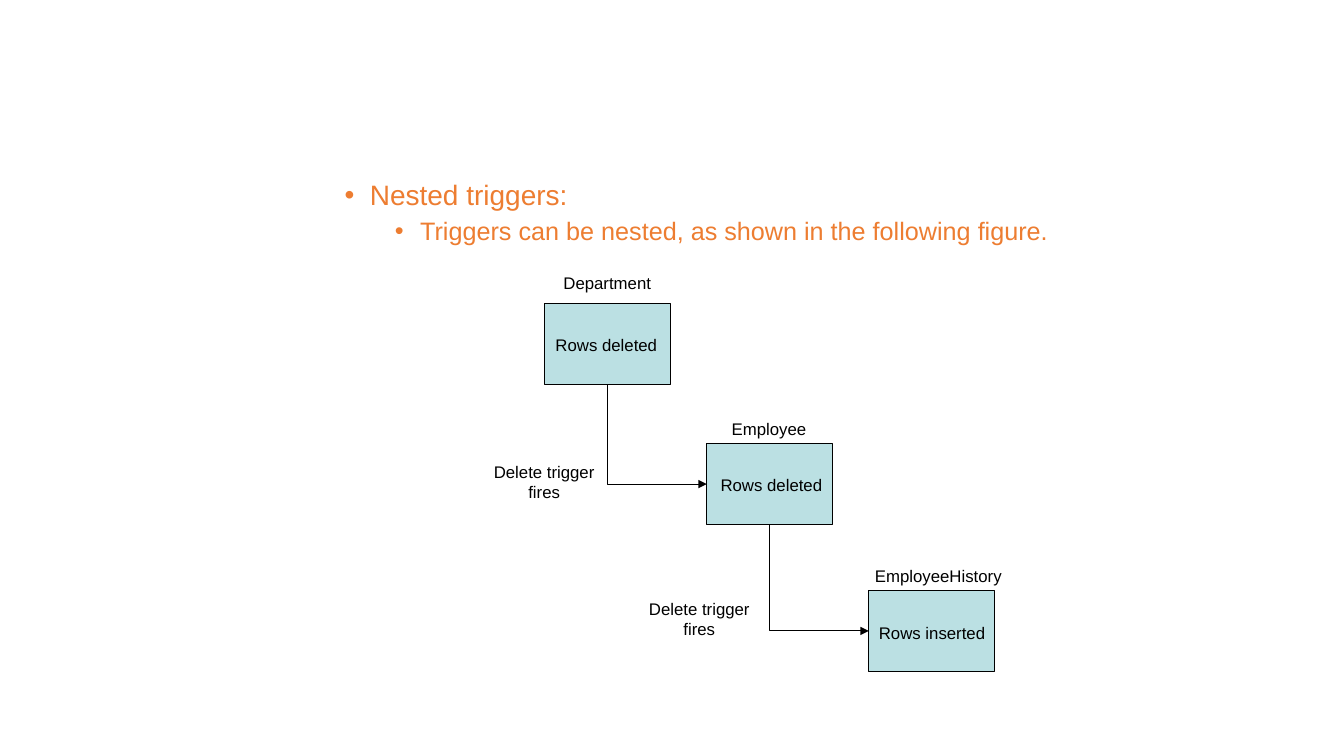
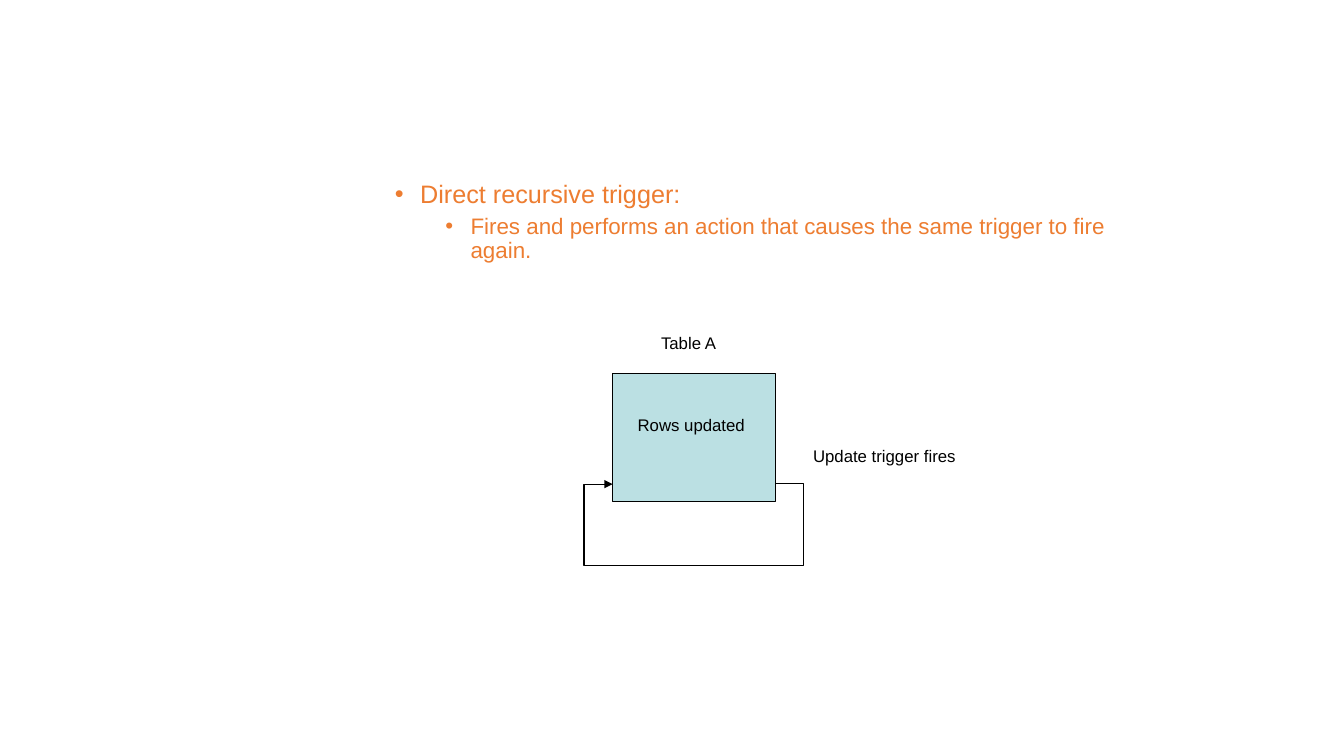
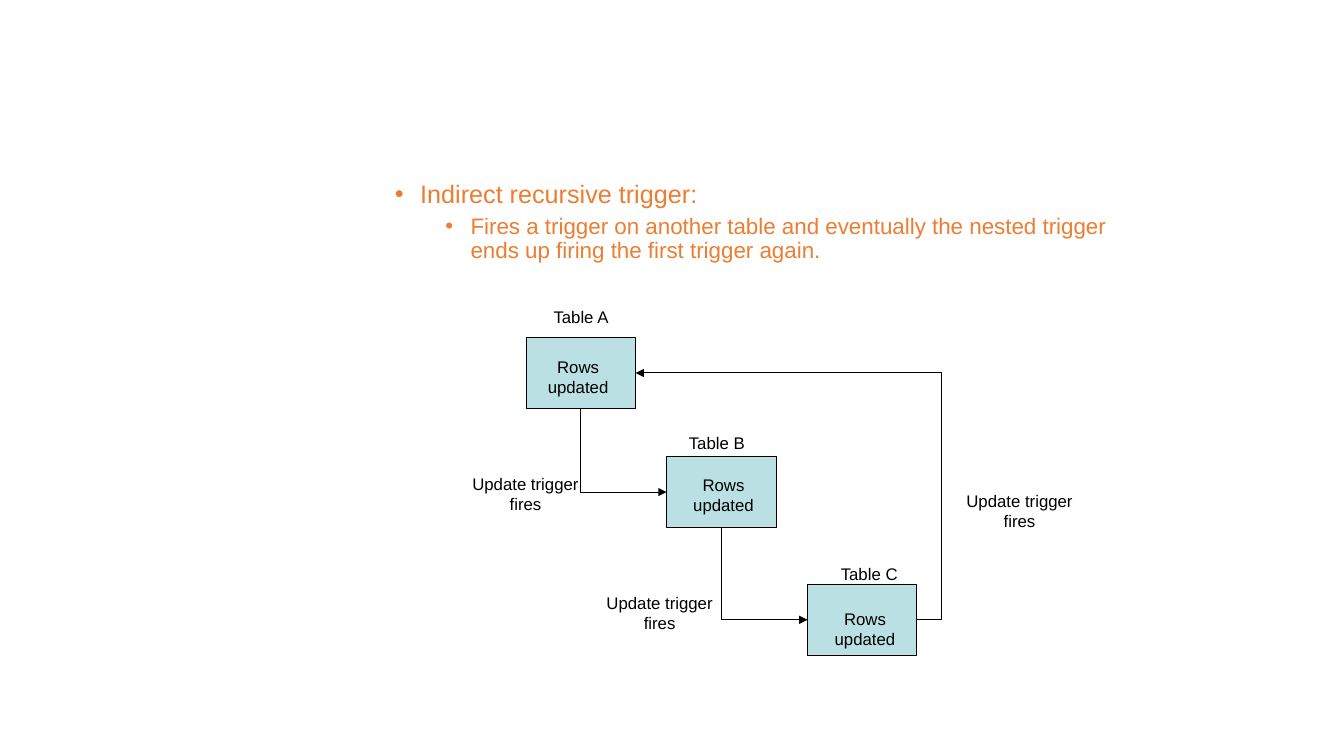
from lxml.etree import SubElement
from pptx import Presentation
from pptx.dml.color import RGBColor
from pptx.enum.shapes import MSO_CONNECTOR as Connector, MSO_SHAPE as Shape
from pptx.enum.text import MSO_ANCHOR as Anchor, MSO_AUTO_SIZE as AutoSize, PP_ALIGN as Align
from pptx.oxml.ns import qn
from pptx.util import Cm, Pt

COLORS = {"accent": "ED7D31", "table": "BBE0E3", "ink": "000000", "paper": "FFFFFF"}
FONT = "Arial"
BODY = (8.43, 4.44, 20.32, 12.07)
LEFT, CENTER = Align.LEFT, Align.CENTER

# Outline lines: (level, text). Tables: left, top. Labels: text, left, top, width, height, alignment.
NESTED = {
    "outline": [(0, "Nested triggers:"),
                (1, "Triggers can be nested, as shown in the following figure.")],
    "size": (3.17, 2.04),
    "tables": [(13.72, 7.65), (17.81, 11.18), (21.89, 14.88)],
    "insets": (0.23, 0.1),
    "labels": [
        ("Department", 13.97, 6.78, 3.07, 0.56, LEFT),
        ("Employee", 18.21, 10.44, 2.97, 0.58, LEFT),
        ("EmployeeHistory", 21.82, 14.15, 4.65, 0.58, LEFT),
        ("Rows deleted", 13.77, 8.33, 3.53, 0.58, LEFT),
        ("Delete trigger fires", 11.86, 11.53, 3.71, 0.58, CENTER),
        ("Rows deleted", 17.93, 11.86, 3.53, 0.58, LEFT),
        ("Delete trigger fires", 15.77, 14.99, 3.71, 0.61, CENTER),
        ("Rows inserted", 21.92, 15.6, 3.86, 0.61, LEFT),
    ],
}
DIRECT = {
    "outline": [(1, "Direct recursive trigger:"),
                (2, "Fires and performs an action that causes the same trigger to fire again.")],
    "size": (4.1, 3.23),
    "tables": [(15.44, 9.42)],
    "insets": (0.25, 0.13),
    "labels": [
        ("Table A", 16.41, 8.25, 2.9, 1.14, LEFT),
        ("Rows updated", 15.82, 10.31, 3.99, 1.6, LEFT),
        ("Update trigger fires", 19.28, 11.1, 6.02, 1.6, CENTER),
    ],
    "loop": {"y": 12.19, "side": 0.72, "drop": 2.06},
}
INDIRECT = {
    "outline": [(1, "Indirect recursive trigger:"),
                (2, "Fires a trigger on another table and eventually the nested trigger "
                    "ends up firing the first trigger again.")],
    "size": (2.76, 1.78),
    "tables": [(13.26, 8.51), (16.8, 11.51), (20.35, 14.73)],
    "insets": (0.21, 0.1),
    "labels": [
        ("Table A", 13.74, 7.62, 1.93, 0.51, LEFT),
        ("Table B", 17.15, 10.8, 2.57, 0.51, LEFT),
        ("Table C", 20.98, 14.1, 4.04, 0.51, LEFT),
        ("Rows updated", 13.34, 8.89, 2.46, 0.71, CENTER),
        ("Update trigger fires", 11.63, 11.84, 3.23, 0.56, CENTER),
        ("Rows updated", 16.71, 11.86, 3.05, 0.69, CENTER),
        ("Update trigger fires", 15.01, 14.83, 3.23, 0.79, CENTER),
        ("Rows updated", 20.68, 15.24, 2.24, 0.51, CENTER),
        ("Update trigger fires", 24.08, 12.27, 3.23, 0.56, CENTER),
    ],
    "return_side": 0.62,
}


def color(name):
    """Look up a named colour."""
    return RGBColor.from_string(COLORS[name])


def style(para, size, name):
    """Format every run of a paragraph."""
    for span in para.runs:
        span.font.name, span.font.size = FONT, Pt(size)
        span.font.color.rgb = color(name)


def add_outline(page, lines):
    """Fill the body placeholder with bulleted lines and drop the unused title."""
    title, body = page.shapes.title, page.placeholders[1]
    title.element.getparent().remove(title.element)
    body.left, body.top, body.width, body.height = map(Cm, BODY)
    body.fill.solid()
    body.fill.fore_color.rgb = color("paper")
    frame = body.text_frame
    frame.auto_size, frame.vertical_anchor = AutoSize.NONE, Anchor.TOP
    frame.text = "\n".join(text for _, text in lines)
    for para, (level, _) in zip(frame.paragraphs, lines):
        para.level = level
        para.line_spacing = 0.9
        para.space_before = Pt(5 if level else 10)
        style(para, 20 - 2 * level, "accent")
        props = para._p.get_or_add_pPr()
        props.set("marL", str(Cm(0.635 + 1.27 * level)))
        props.set("indent", str(-Cm(0.635)))
        SubElement(props, qn("a:buChar"), char="•")


def add_table_box(page, left, top, size):
    """Draw the box that stands for a database table."""
    box = page.shapes.add_shape(Shape.RECTANGLE, *map(Cm, (left, top, *size)))
    box.shadow.inherit = False
    box.fill.solid()
    box.fill.fore_color.rgb = color("table")
    box.line.color.rgb = color("ink")
    box.line.width = Pt(0.75)


def add_label(page, insets, text, left, top, width, height, align):
    """Write a caption in a wrapping text box."""
    frame = page.shapes.add_textbox(*map(Cm, (left, top, width, height))).text_frame
    frame.word_wrap = True
    frame.margin_left = frame.margin_right = Cm(insets[0])
    frame.margin_top = frame.margin_bottom = Cm(insets[1])
    frame.text = text
    para = frame.paragraphs[0]
    para.alignment = align
    style(para, 12, "ink")


def add_arrow(page, preset, begin, end, adjustments=()):
    """Draw a bent arrow; adjustments are fractions of its width and height."""
    arrow = page.shapes.add_connector(Connector.ELBOW, *map(Cm, (*begin, *end)))
    arrow.line.color.rgb = color("ink")
    arrow.line.width = Pt(0.75)
    props = arrow._element.spPr
    SubElement(props.find(qn("a:ln")), qn("a:tailEnd"), type="triangle")
    SubElement(props, qn("a:effectLst"))
    geometry = props.find(qn("a:prstGeom"))
    geometry.set("prst", preset)
    guides = geometry.find(qn("a:avLst"))
    for number, value in enumerate(adjustments, 1):
        SubElement(guides, qn("a:gd"), name=f"adj{number}",
                   fmla=f"val {round(value * 100000)}")
    return arrow


def add_step_arrow(page, begin, end):
    """Draw an arrow that goes down and then right, as a quarter-turned bend."""
    middle_x, middle_y = (begin[0] + end[0]) / 2, (begin[1] + end[1]) / 2
    half_x, half_y = (end[0] - begin[0]) / 2, (end[1] - begin[1]) / 2
    arrow = add_arrow(page, "bentConnector2", (middle_x + half_y, middle_y - half_x),
                      (middle_x - half_y, middle_y + half_x))
    arrow._element.spPr.find(qn("a:xfrm")).set("rot", str(270 * 60000))


def add_loop_arrow(page, left, right, y, side, drop):
    """Draw an arrow from a table's right side, below it, to its left side."""
    rise, reach = 0.01, side / (right - left)
    add_arrow(page, "bentConnector5", (right, y), (left, y + rise),
              (-reach, drop / rise, 1 + reach))


def add_diagram(page, diagram):
    """Draw the tables, the arrows between them and the captions."""
    tables, (width, height) = diagram["tables"], diagram["size"]
    for left, top in tables:
        add_table_box(page, left, top, (width, height))
    for (left, top), (next_left, next_top) in zip(tables, tables[1:]):
        add_step_arrow(page, (left + width / 2, top + height),
                       (next_left, next_top + height / 2))
    if "loop" in diagram:
        left = tables[0][0]
        add_loop_arrow(page, left, left + width, **diagram["loop"])
    if "return_side" in diagram:
        first, last = [(left + width, top + height / 2)
                       for left, top in (tables[0], tables[-1])]
        add_arrow(page, "bentConnector3", last, first,
                  [-diagram["return_side"] / (last[0] - first[0])])
    for label in diagram["labels"]:
        add_label(page, diagram["insets"], *label)


deck = Presentation()
deck.slide_width, deck.slide_height = Cm(33.87), Cm(19.05)
for diagram in (NESTED, DIRECT, INDIRECT):
    page = deck.slides.add_slide(deck.slide_layouts[1])
    add_outline(page, diagram["outline"])
    add_diagram(page, diagram)
deck.save("out.pptx")
